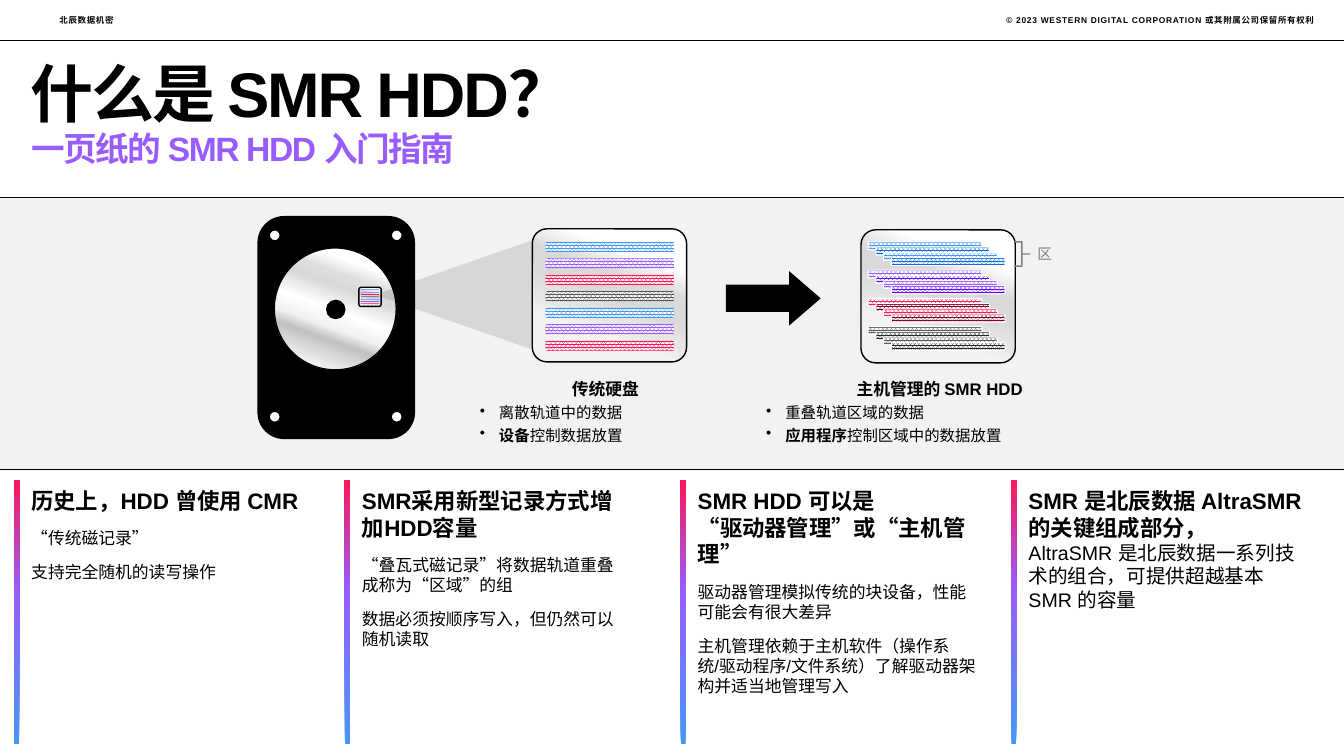
"""Build a one-slide introduction to SMR hard drives on a grid of 1333 columns by 750 rows."""
import pptx
import pptx.dml.color
import pptx.enum.dml
import pptx.enum.shapes
import pptx.enum.text
import pptx.oxml
import pptx.oxml.ns
import pptx.util
import lxml.etree

SHAPE = pptx.enum.shapes.MSO_SHAPE
ALIGN = pptx.enum.text.PP_ALIGN
ANCHOR = pptx.enum.text.MSO_ANCHOR
CELL = pptx.util.Inches(0.01)
COLORS = {
    "black": "000000", "white": "FFFFFF", "band": "F2F2F2", "gray": "808080",
    "blue": "4697F3", "purple": "995DFF", "pink": "FC1859", "slate": "595959",
    "deep blue": "0E6FDC", "deep purple": "6206FF", "deep pink": "880228", "deep slate": "262626",
}
GRADIENTS = {
    "disc": (110, [(18, "FFFFFF"), (28, "DEDEDE"), (36, "D9D9D9"), (51, "FFFFFF"),
                   (62, "F2F2F2"), (70, "C2C2C2"), (88, "F2F2F2")]),
    "panel": (110, [(23, "FFFFFF"), (38, "D9D9D9"), (50, "D9D9D9"), (63, "E6E6E6"), (73, "F2F2F2")]),
    "bar": (260, [(0, "4697F3"), (58, "995DFF"), (100, "FC1859")]),
}
RGB = {name: pptx.dml.color.RGBColor.from_string(value) for name, value in COLORS.items()}

deck = pptx.Presentation()
deck.slide_width, deck.slide_height = 1333 * CELL, 750 * CELL
page = deck.slides.add_slide(deck.slide_layouts.get_by_name("Two Content"))
title, subtitle, first_column = page.placeholders


def draw(kind, grid, paint=None, edge=None, weight=1, adjust=()):
    """Add a preset shape on the grid with a solid, gradient or empty fill."""
    shape = page.shapes.add_shape(kind, *[int(cells * CELL) for cells in grid])
    shape.shadow.inherit = False
    for index, value in enumerate(adjust):
        shape.adjustments[index] = value
    if paint in GRADIENTS:
        angle, stops = GRADIENTS[paint]
        shape.fill.gradient()
        shape.fill.gradient_angle = 360 - angle
        stop_list = shape.element.spPr.find(".//" + pptx.oxml.ns.qn("a:gsLst"))
        for stop in list(stop_list):
            stop_list.remove(stop)
        for position, value in stops:
            stop = lxml.etree.SubElement(stop_list, pptx.oxml.ns.qn("a:gs"), pos=str(position * 1000))
            lxml.etree.SubElement(stop, pptx.oxml.ns.qn("a:srgbClr"), val=value)
    elif paint:
        shape.fill.solid()
        shape.fill.fore_color.rgb = RGB[paint]
    else:
        shape.fill.background()
    if edge:
        shape.line.color.rgb = RGB[edge]
        shape.line.width = pptx.util.Pt(weight)
    else:
        shape.line.fill.background()
    return shape


def write(box, grid, paragraphs, insets=(0, 0, 0, 0), anchor=ANCHOR.TOP, align=ALIGN.LEFT,
          spacing=None, before=0, after=0, tracking=0, color="black"):
    """Place a box on the grid and fill it with paragraphs of (text, size, bold) runs."""
    box.left, box.top, box.width, box.height = [int(cells * CELL) for cells in grid]
    frame = box.text_frame
    frame.word_wrap = True
    frame.auto_size = pptx.enum.text.MSO_AUTO_SIZE.NONE
    frame.vertical_anchor = anchor
    frame.margin_left, frame.margin_top, frame.margin_right, frame.margin_bottom = [
        inset * CELL for inset in insets]
    for index, (bullet, runs) in enumerate(paragraphs):
        para = frame.paragraphs[0] if index == 0 else frame.add_paragraph()
        properties = para._p.get_or_add_pPr()
        properties.set("marL", str(19 * CELL if bullet else 0))
        properties.set("indent", str(-19 * CELL if bullet else 0))
        if bullet:
            lxml.etree.SubElement(properties, pptx.oxml.ns.qn("a:buChar"), char="•")
        else:
            lxml.etree.SubElement(properties, pptx.oxml.ns.qn("a:buNone"))
        para.alignment = ALIGN.LEFT if bullet else align
        para.line_spacing = spacing
        para.space_before = pptx.util.Pt(before if index else 0)
        para.space_after = pptx.util.Pt(after)
        for text, size, bold in runs:
            for number, line in enumerate(text.split("\n")):
                if number:
                    para.add_line_break()
                if not line:
                    continue
                span = para.add_run()
                span.text = line
                span.font.name = "Arial"
                span.font.size = pptx.util.Pt(size)
                span.font.bold = bold
                span.font.color.rgb = RGB[color]
                if tracking:
                    span._r.get_or_add_rPr().set("spc", str(int(tracking * 100)))


draw(SHAPE.RECTANGLE, (0, 197, 1333, 270), "band")
for row in (40, 196, 466):
    rule = page.shapes.add_connector(pptx.enum.shapes.MSO_CONNECTOR.STRAIGHT,
                                     0, row * CELL, 1333 * CELL, row * CELL)
    rule.line.color.rgb = RGB["black"]
    rule.line.width = pptx.util.Pt(0.5)
    lxml.etree.SubElement(rule.element.spPr, pptx.oxml.ns.qn("a:effectLst"))

for grid, align, text in [
    ((688, 15, 615, 10), ALIGN.RIGHT, "© 2023 WESTERN DIGITAL CORPORATION 或其附属公司保留所有权利"),
    ((59, 15, 166, 10), ALIGN.LEFT, "北辰数据机密"),
]:
    write(page.shapes.add_textbox(0, 0, 0, 0), grid, [(False, [(text, 6, True)])],
          anchor=ANCHOR.MIDDLE, align=align, spacing=pptx.util.Pt(7.5), tracking=0.5)
write(title, (30, 62, 1274, 67), [(False, [("什么是 SMR HDD？", 45, True)])],
      anchor=ANCHOR.BOTTOM, spacing=0.85, tracking=-1.5)
write(subtitle, (30, 131, 1274, 45), [(False, [("一页纸的 SMR HDD 入门指南", 24, True)])],
      insets=(1, 0, 0, 0), spacing=0.9, after=10, tracking=-1, color="purple")

draw(SHAPE.ROUNDED_RECTANGLE, (256, 215, 155, 220), "black", "black")
draw(SHAPE.OVAL, (272, 246, 121, 121), "disc", "black")
draw(SHAPE.OVAL, (324, 298, 18, 18), "black", "black")
for left in (267, 388):
    for top in (228, 408):
        draw(SHAPE.OVAL, (left, top, 11, 11), "white", "black")

draw(SHAPE.ROUNDED_RECTANGLE, (356, 285, 22, 19), "panel", "black", adjust=[0.11])
beam = draw(SHAPE.ISOSCELES_TRIANGLE, (396, 214, 109, 157), "black")
beam.rotation = 270
beam_color = beam.element.spPr.find(".//" + pptx.oxml.ns.qn("a:srgbClr"))
lxml.etree.SubElement(beam_color, pptx.oxml.ns.qn("a:alpha"), val="11000")
for left, top in [(528, 227), (854, 228)]:
    draw(SHAPE.ROUNDED_RECTANGLE, (left, top, 153, 132), "panel", "black", adjust=[0.11])

tracks = []
for index, name in enumerate(["blue", "purple", "pink", "slate", "blue", "purple", "pink"]):
    tracks.append(((358, 287 + 2.33 * index, 18, 1), name, None))
    tracks.append(((541, 240 + 16.33 * index, 128, 10), name, None))
for zone, name in enumerate(["blue", "purple", "pink", "slate"]):
    for layer in range(4):
        tone = "deep " + name if layer % 2 else name
        tracks.append(((861 + 7.67 * layer, 240 + 28 * zone + 5.2 * layer, 113, 8), tone, "white"))
for grid, name, edge in tracks:
    track = draw(SHAPE.ROUNDED_RECTANGLE, grid, None, edge, 0.75)
    track.fill.patterned()
    track.fill.pattern = pptx.enum.dml.MSO_PATTERN.PERCENT_80
    track.fill.fore_color.rgb = RGB[name]
    track.fill.back_color.rgb = RGB["white"]

draw(SHAPE.RIGHT_ARROW, (720, 269, 94, 54), "black", adjust=[0.5, 0.58])
draw(SHAPE.RIGHT_BRACE, (1006, 240, 15, 24), None, "gray", adjust=[0, 0.5])
write(page.shapes.add_textbox(0, 0, 0, 0), (1019, 238, 79, 28), [(False, [("区", 10.5, False)])],
      insets=(10, 5, 10, 5), color="gray")

for left, width, heading, layout_note, controller, control_note in [
    (466, 269, "传统硬盘", "离散轨道中的数据", "设备", "控制数据放置"),
    (750, 364, "主机管理的 SMR HDD", "重叠轨道区域的数据", "应用程序", "控制区域中的数据放置"),
]:
    write(page.shapes.add_textbox(0, 0, 0, 0), (left, 371, width, 76), [
        (False, [(heading, 12, True)]),
        (True, [(layout_note, 11, False)]),
        (True, [(controller, 11, True), (control_note, 11, False)]),
    ], insets=(10, 5, 10, 5), align=ALIGN.CENTER, after=3)

columns = [
    (30, 279, [[("历史上，HDD 曾使用 CMR", 16, True)],
               [("“传统磁记录”", 12, False)],
               [("支持完全随机的读写操作", 12, False)]]),
    (358, 261, [[("SMR采用新型记录方式增加HDD容量", 16, True)],
                [("“叠瓦式磁记录”将数据轨道重叠成称为“区域”的组", 12, False)],
                [("数据必须按顺序写入，但仍然可以随机读取", 12, False)]]),
    (691, 279, [[("SMR HDD 可以是\n“驱动器管理”或“主机管理”", 16, True)],
                [("驱动器管理模拟传统的块设备，性能可能会有很大差异", 12, False)],
                [("主机管理依赖于主机软件（操作系统/驱动程序/文件系统）了解驱动器架构并适当地管理写入", 12, False)]]),
    (1019, 279, [[("SMR 是北辰数据 AltraSMR 的关键组成部分，\n", 16, True),
                  ("AltraSMR 是北辰数据一系列技术的组合，可提供超越基本 SMR 的容量", 14, False)]]),
]
for index, (left, width, paragraphs) in enumerate(columns):
    draw(SHAPE.RECTANGLE, (left - 16, 477, 5, 261), "bar")
    box = page.shapes.add_textbox(0, 0, 0, 0) if index else first_column
    write(box, (left, 483, width, 263), [(False, runs) for runs in paragraphs],
          insets=(1, 0, 0, 0), before=6, after=4)

deck.save("out.pptx")
